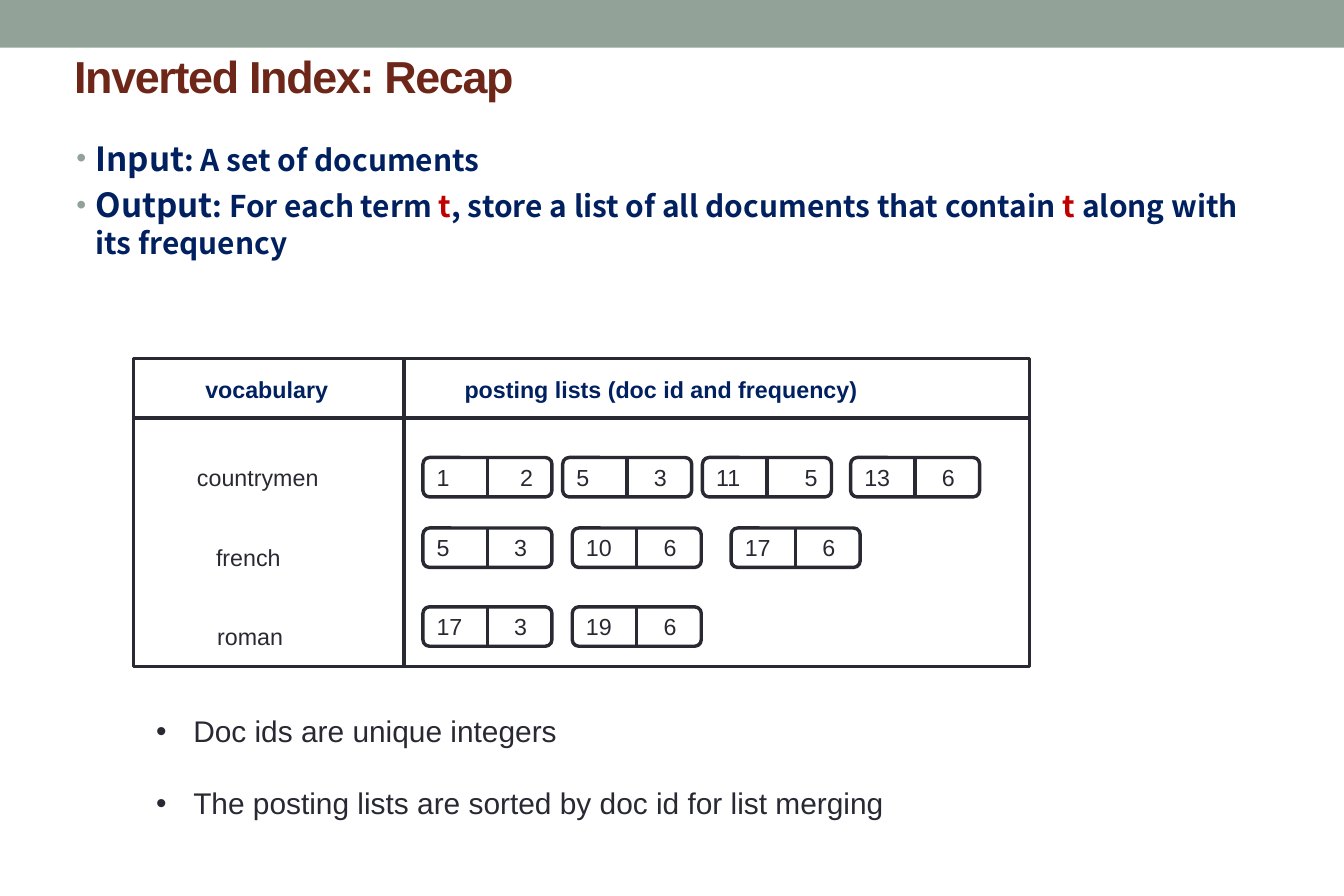
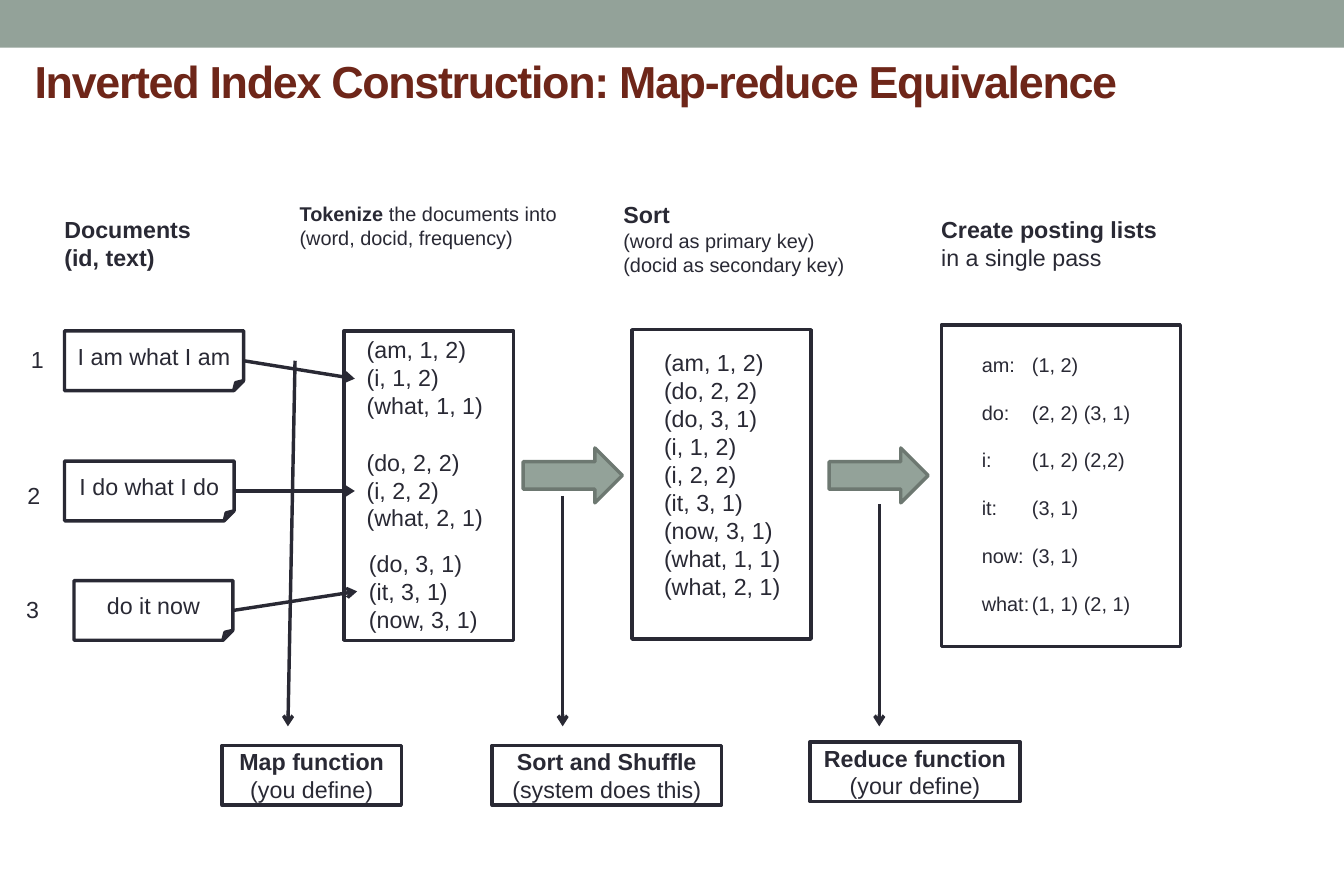
from dataclasses import dataclass

from lxml import etree
from pptx import Presentation
from pptx.dml.color import RGBColor
from pptx.enum import shapes, text
from pptx.oxml import ns
from pptx.util import Inches, Pt


@dataclass(frozen=True)
class Theme:
    ink: str = "292934"
    paper: str = "FFFFFF"
    sage: str = "93A299"
    sage_edge: str = "6D7871"
    title: str = "6E2619"
    navy: str = "002060"
    accent: str = "C00000"
    font: str = "Arial"
    body_font: str = "Noto Sans CJK TC"
    title_size: int = 27
    lead_size: int = 20
    body_size: int = 18
    label_size: int = 14
    small_size: int = 12
    stroke: float = 2.08
    leading: float = 1.2


THEME = Theme()
RECT = shapes.MSO_SHAPE.RECTANGLE
TOP, BOTTOM, RIGHT = 0, 2, 3


@dataclass(frozen=True)
class Words:
    text: str
    size: int = THEME.label_size
    bold: bool = False
    color: str = THEME.ink
    font: str = THEME.font


def rgb(value):
    return RGBColor.from_string(value)


def sub(parent, tag, **attributes):
    return etree.SubElement(parent, ns.qn(tag), attributes)


def add_bullet(paragraph, indent, color=None, percent=None):
    properties = paragraph._p.get_or_add_pPr()
    properties.set("marL", str(Inches(indent)))
    properties.set("indent", str(-Inches(indent)))
    if color:
        sub(sub(properties, "a:buClr"), "a:srgbClr", val=color)
    if percent:
        sub(properties, "a:buSzPct", val=str(percent * 1000))
    sub(properties, "a:buFont", typeface=THEME.font)
    sub(properties, "a:buChar", char="•")


def add_tab(paragraph, position):
    tabs = sub(paragraph._p.get_or_add_pPr(), "a:tabLst")
    sub(tabs, "a:tab", pos=str(Inches(position)), algn="l")


def write(frame, lines, align=text.PP_ALIGN.LEFT, gap=0, tab=None, bullet=None):
    for index, line in enumerate(lines):
        paragraph = frame.paragraphs[0] if index == 0 else frame.add_paragraph()
        if bullet:
            add_bullet(paragraph, *bullet)
        if tab:
            add_tab(paragraph, tab)
        paragraph.alignment = align
        paragraph.line_spacing = Pt(THEME.leading * line[-1].size)
        paragraph.space_before = Pt(gap if index else 0)
        for words in line:
            run = paragraph.add_run()
            run.text = words.text
            run.font.size = Pt(words.size)
            run.font.bold = words.bold
            run.font.name = words.font
            run.font.color.rgb = rgb(words.color)


def add_text(slide, box, lines, wrap=False, **layout):
    frame = slide.shapes.add_textbox(*map(Inches, box)).text_frame
    frame.word_wrap = wrap
    write(frame, lines, **layout)
    return frame


def add_label(slide, box, *lines, **style):
    return add_text(slide, box, [[Words(line, **style)] for line in lines])


def add_box(slide, box, kind=RECT, lines=(), fill=THEME.paper, edge=THEME.ink, **layout):
    shape = slide.shapes.add_shape(kind, *map(Inches, box))
    shape.shadow.inherit = False
    shape.fill.solid()
    shape.fill.fore_color.rgb = rgb(fill)
    if edge:
        shape.line.color.rgb = rgb(edge)
        shape.line.width = Pt(THEME.stroke)
    else:
        shape.line.fill.background()
    if lines:
        frame = shape.text_frame
        frame.vertical_anchor = text.MSO_ANCHOR.MIDDLE
        frame.margin_top = frame.margin_bottom = frame.margin_right = 0
        if layout.get("align") == text.PP_ALIGN.CENTER:
            frame.margin_left = 0
        write(frame, lines, **layout)
    return shape


def add_line(slide, start, end, arrow=False):
    line = slide.shapes.add_connector(
        shapes.MSO_CONNECTOR.STRAIGHT, *map(Inches, (*start, *end)))
    line.line.color.rgb = rgb(THEME.ink)
    line.line.width = Pt(THEME.stroke)
    if arrow:
        sub(line.line._get_or_add_ln(), "a:tailEnd", type="arrow")
    sub(line._element.spPr, "a:effectLst")
    return line


def add_slide(deck, heading, box):
    slide = deck.slides.add_slide(deck.slide_layouts[6])
    add_box(slide, (0, 0, 11.25, 0.4), fill=THEME.sage, edge=None)
    title = Words(heading, THEME.title_size, True, THEME.title)
    frame = add_text(slide, box, [[title]], wrap=True)
    frame.vertical_anchor = text.MSO_ANCHOR.MIDDLE
    frame.margin_left = frame.margin_right = Inches(0.08)
    frame.margin_top = frame.margin_bottom = Inches(0.04)
    frame.paragraphs[0].runs[0].font._element.set("spc", "-80")
    return slide


def add_posting(slide, left, top, doc_id, frequency, tab=0.65):
    width, height = 1.08, 0.33
    pill = add_box(slide, (left, top, width, height), shapes.MSO_SHAPE.ROUNDED_RECTANGLE,
                   [[Words(f"{doc_id}\t{frequency}")]], tab=tab)
    middle = left + width / 2
    divider = add_line(slide, (middle, top), (middle, top + height))
    divider.begin_connect(pill, TOP)
    divider.end_connect(pill, BOTTOM)


def build_recap(deck):
    slide = add_slide(deck, "Inverted Index: Recap", (0.54, 0.42, 10.12, 0.42))

    def body(content, color=THEME.navy, size=THEME.body_size):
        return Words(content, size, True, color, THEME.body_font)

    term = body("t", THEME.accent)
    definitions = add_text(slide, (0.56, 1.15, 10.12, 1.2), [
        [body("Input", size=THEME.lead_size), body(": A set of documents")],
        [body("Output", size=THEME.lead_size), body(": For each term "), term,
         body(", store a list of all documents that contain "), term,
         body(" along with its frequency")],
    ], wrap=True, gap=6.5, bullet=(0.16, THEME.sage, 85))
    definitions.margin_left = definitions.margin_right = Inches(0.08)
    definitions.margin_top = Inches(0.04)

    left, top, width, height = 1.12, 3, 7.5, 2.58
    add_box(slide, (left, top, width, height))
    add_line(slide, (3.38, top), (3.38, top + height))
    add_line(slide, (left, 3.5), (left + width, 3.5))
    for x, w, heading in ((1.62, 1.23, "vocabulary"),
                          (3.79, 3.5, "posting lists (doc id and frequency)")):
        add_label(slide, (x, 3.09, w, 0.34), heading, bold=True, color=THEME.navy)

    rows = (
        ("countrymen", (1.55, 3.83, 1.22, 0.34), 3.83,
         ((3.54, 1, 2, 0.7), (4.71, 5, 3), (5.88, 11, 5, 0.74), (7.12, 13, 6))),
        ("french", (1.71, 4.5, 0.75, 0.34), 4.42,
         ((3.54, 5, 3), (4.79, 10, 6), (6.12, 17, 6))),
        ("roman", (1.72, 5.16, 0.76, 0.34), 5.08,
         ((3.54, 17, 3), (4.79, 19, 6))),
    )
    for word, box, row_top, postings in rows:
        add_label(slide, box, word)
        for x, *posting in postings:
            add_posting(slide, x, row_top, *posting)

    notes = ("Doc ids are unique integers",
             "The posting lists are sorted by doc id for list merging")
    add_text(slide, (1.21, 5.92, 7.83, 1.01),
             [[Words(note, THEME.body_size)] for note in notes],
             wrap=True, gap=21.6, bullet=(0.31,))


def build_map_reduce(deck):
    slide = add_slide(deck, "Inverted Index Construction: Map-reduce Equivalence",
                      (0.21, 0.42, 10.12, 0.51))
    small = THEME.small_size
    center = text.PP_ALIGN.CENTER

    add_label(slide, (0.44, 1.75, 1.27, 0.57), "Documents", "(id, text)", bold=True)
    add_text(slide, (2.41, 1.64, 2.5, 0.5), [
        [Words("Tokenize", small, True), Words(" the documents into", small)],
        [Words("(word, docid, frequency)", small)]], wrap=True)
    add_text(slide, (5.12, 1.63, 2.07, 0.74), [
        [Words("Sort", bold=True)],
        [Words("(word as primary key)", small)],
        [Words("(docid as secondary key)", small)]])
    add_text(slide, (7.78, 1.75, 2.02, 0.57), [
        [Words("Create posting lists", bold=True)],
        [Words("in a single pass")]])

    for stage in ((2.88, 2.77, 1.42, 2.59), (5.29, 2.76, 1.5, 2.59), (7.88, 2.72, 2, 2.69)):
        add_box(slide, stage)

    documents = (
        ("1", (0.16, 2.84), "I am what I am", (0.54, 2.77, 1.5, 0.5), (2.97, 3.17),
         (2.97, 2.76, 1.18, 0.81), ("(am, 1, 2)", "(i, 1, 2)", "(what, 1, 1)")),
        ("2", (0.13, 3.98), "I do what I do", (0.54, 3.86, 1.42, 0.5), (2.97, 4.11),
         (2.97, 3.7, 1.23, 0.81), ("(do, 2, 2)", "(i, 2, 2)", "(what, 2, 1)")),
        ("3", (0.12, 4.93), "do it now", (0.62, 4.86, 1.33, 0.5), (2.99, 4.95),
         (2.99, 4.55, 1.12, 0.81), ("(do, 3, 1)", "(it, 3, 1)", "(now, 3, 1)")),
    )
    for number, corner, content, page_box, target, token_box, tokens in documents:
        add_label(slide, (*corner, 0.31, 0.34), number)
        page = add_box(slide, page_box, shapes.MSO_SHAPE.FOLDED_CORNER,
                       [[Words(content)]], align=center)
        add_label(slide, token_box, *tokens)
        add_line(slide, target, target, arrow=True).begin_connect(page, RIGHT)

    add_label(slide, (5.46, 2.87, 1.18, 2.22),
              "(am, 1, 2)", "(do, 2, 2)", "(do, 3, 1)", "(i, 1, 2)", "(i, 2, 2)",
              "(it, 3, 1)", "(now, 3, 1)", "(what, 1, 1)", "(what, 2, 1)")

    postings = (("am:", "(1, 2)"), ("do:", "(2, 2) (3, 1)"), ("i:", "(1, 2) (2,2)"),
                ("it:", "(3, 1)"), ("now:", "(3, 1)"), ("what:", "(1, 1) (2, 1)"))
    add_text(slide, (8.12, 2.9, 1.7, 2.32),
             [[Words(f"{word}\t{found}", small)] for word, found in postings],
             wrap=True, gap=14.4, tab=0.42)

    for x in (4.38, 6.94):
        add_box(slide, (x, 3.75, 0.83, 0.46), shapes.MSO_SHAPE.RIGHT_ARROW,
                fill=THEME.sage, edge=THEME.sage_edge)

    functions = (
        ((1.86, 6.24, 1.5, 0.5), "Map function", "(you define)", (2.47, 3.02), 2.41),
        ((4.12, 6.24, 1.92, 0.5), "Sort and Shuffle", "(system does this)", (4.71, 4.15), 4.71),
        ((6.78, 6.21, 1.76, 0.5), "Reduce function", "(your define)", (7.36, 4.22), 7.36),
    )
    for box, name, owner, start, end_x in functions:
        add_box(slide, box, lines=[[Words(name, bold=True)], [Words(owner)]], align=center)
        add_line(slide, start, (end_x, 6.08), arrow=True)


def main():
    deck = Presentation()
    deck.slide_width, deck.slide_height = Inches(11.25), Inches(7.5)
    build_recap(deck)
    build_map_reduce(deck)
    deck.save("out.pptx")


if __name__ == "__main__":
    main()
